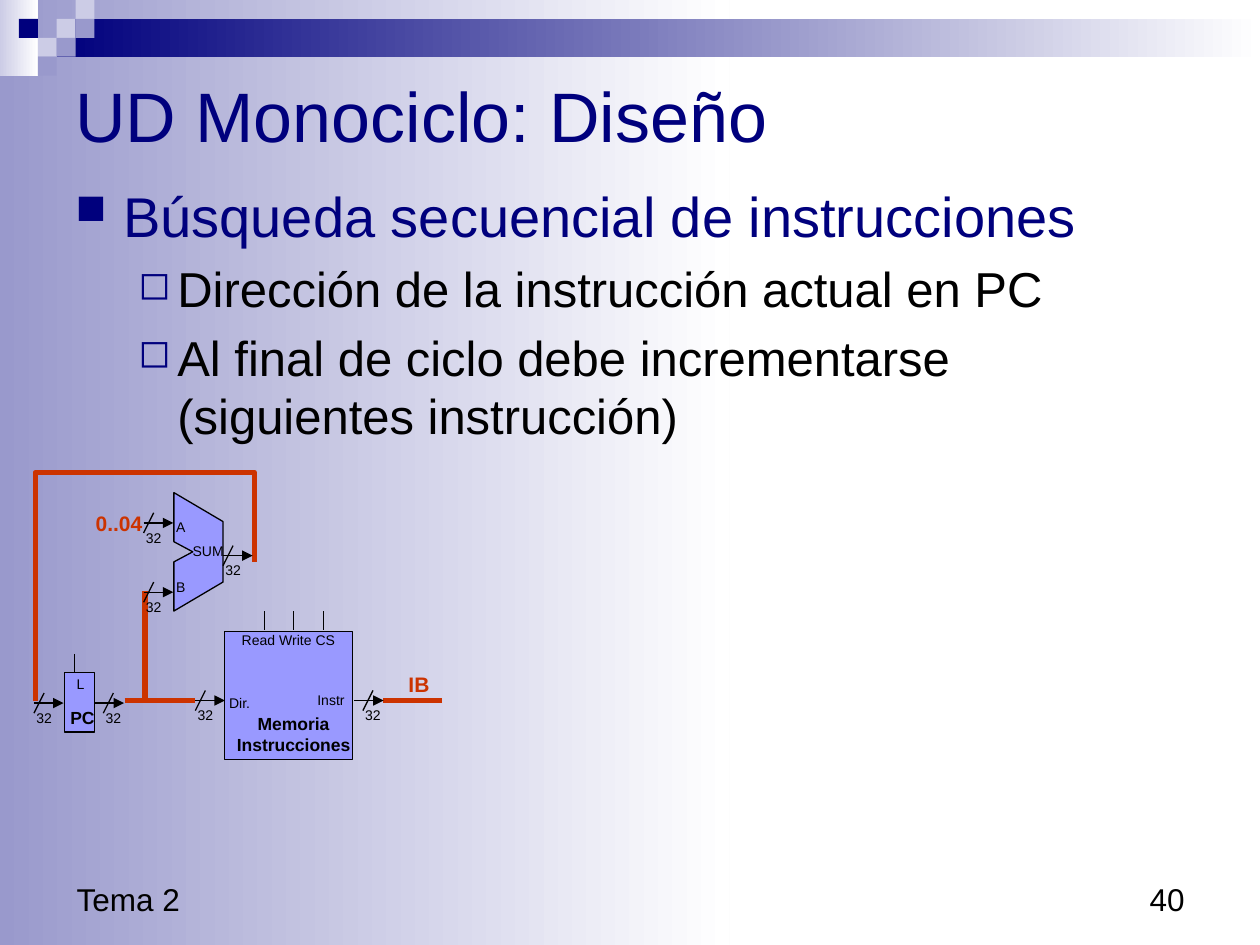
import pptx
import pptx.util
import pptx.dml.color
import pptx.enum.shapes
import pptx.enum.text
import pptx.oxml.ns
from lxml import etree

NAVY, LILAC, PALE, BLOCK = "00007D", "9999CC", "CCCCE6", "9999FF"
RED, BLACK, WHITE = "CC3300", "000000", "FFFFFF"
WIDE, HIGH = 10, 7.5
CELL = 0.15   # header mosaic grid
STUB = 0.235  # length of a bus arrow
HALF = 0.08   # half height of a bus slash

# Content: left, top, width, height, colours
bands = [(0, 0, 5.79, HIGH, LILAC), (0, 0, 0.3, 0.6, PALE),
         (0.45, 0.15, 9.55, 0.3, NAVY)]
# Mosaic: column, row, colour
tiles = [(3, 1, PALE), (4, 0, PALE), (4, 1, LILAC), (2, 2, PALE),
         (1, 1, NAVY), (3, 2, LILAC), (2, 3, LILAC)]
body = [  # text, size, indent, hang, bullet, bullet size, colour
    ("Búsqueda secuencial de instrucciones", 32, 0.38, 0.38, "■", 75, NAVY),
    ("Dirección de la instrucción actual en PC", 28, 0.81, 0.31, "◻", 80, BLACK),
    ("Al final de ciclo debe incrementarse (siguientes instrucción)",
     28, 0.81, 0.31, "◻", 80, BLACK)]
wires = [(0.99, 5.56, 1.55, 5.56), (1.15, 4.69, 1.15, 5.56),
         (3.04, 5.56, 3.51, 5.56)]
loop = [(2.02, 4.46), (2.02, 3.75), (0.28, 3.75), (0.28, 5.56)]
adder = [(1.38, 3.91), (1.38, 4.3), (1.53, 4.38), (1.38, 4.46),
         (1.38, 4.85), (1.77, 4.62), (1.77, 4.14)]
boxes = [(0.51, 5.34, 0.24, 0.47), (1.78, 5.01, 1.02, 1.02)]
buses = [  # start x, y, offset of the slash
    (0.27, 5.58, 0), (0.75, 5.58, 0.07), (1.55, 5.56, 0), (2.81, 5.56, 0.07),
    (1.77, 4.41, 0), (1.14, 4.7, 0), (1.14, 4.15, 0)]
pins = [(0.59, 5.19), (2.1, 4.85), (2.33, 4.85), (2.57, 4.85)]
names = [  # text, left, top, width
    ("L", 0.51, 5.31, 0.26), ("Dir.", 1.72, 5.46, 0.37),
    ("Instr", 2.42, 5.44, 0.42), ("Read Write CS", 1.82, 4.96, 0.94),
    ("SUM", 1.43, 4.26, 0.45), ("A", 1.3, 4.07, 0.28), ("B", 1.3, 4.54, 0.28)]

inch, pt = pptx.util.Inches, pptx.util.Pt
align, anchor = pptx.enum.text.PP_ALIGN, pptx.enum.text.MSO_ANCHOR
kinds = pptx.enum.shapes
qn = pptx.oxml.ns.qn

deck = pptx.Presentation()
deck.slide_width, deck.slide_height = inch(WIDE), inch(HIGH)
slide = deck.slides.add_slide(deck.slide_layouts[6])
parts = slide.shapes


def rgb(code):
    return pptx.dml.color.RGBColor.from_string(code)


def paint(shape, fill=None, line=None, thick=0.75):
    shape.shadow.inherit = False
    if fill:
        shape.fill.solid()
        shape.fill.fore_color.rgb = rgb(fill)
    else:
        shape.fill.background()
    if line:
        shape.line.color.rgb = rgb(line)
        shape.line.width = pt(thick)
    else:
        shape.line.fill.background()


def rect(x, y, w, h, fill, line=None):
    shape = parts.add_shape(kinds.MSO_SHAPE.RECTANGLE,
                            inch(x), inch(y), inch(w), inch(h))
    paint(shape, fill, line)
    return shape


def free(spots, shut, **look):
    first, *rest = [(inch(x), inch(y)) for x, y in spots]
    pen = parts.build_freeform(*first)
    pen.add_line_segments(rest, close=shut)
    paint(pen.convert_to_shape(), **look)


def link(x1, y1, x2, y2, color=BLACK, thick=0.75, arrow=False):
    line = parts.add_connector(kinds.MSO_CONNECTOR.STRAIGHT,
                               inch(x1), inch(y1), inch(x2), inch(y2))
    line.line.color.rgb = rgb(color)
    line.line.width = pt(thick)
    if arrow:
        etree.SubElement(line.line._get_or_add_ln(), qn("a:tailEnd"),
                         type="triangle")
    etree.SubElement(line._element.spPr, qn("a:effectLst"))


def text(lines, x, y, w, h, size, color=BLACK, bold=False, wrap=False,
         side=align.LEFT, hold=anchor.TOP, space=None):
    box = parts.add_textbox(inch(x), inch(y), inch(w), inch(h))
    frame = box.text_frame
    frame.text = lines
    frame.word_wrap, frame.vertical_anchor = wrap, hold
    for para in frame.paragraphs:
        para.alignment, para.line_spacing = side, space
        font = para.font
        font.name, font.size, font.bold = "Arial", pt(size), bold
        font.color.rgb = rgb(color)
    return frame


# Background and header
for x, y, w, h, color in bands:
    fill = rect(x, y, w, h, color).fill
    fill.gradient()
    fill.gradient_angle = 0
    for stop, code in zip(fill.gradient_stops, (color, WHITE)):
        stop.color.rgb = rgb(code)
for col, row, color in tiles:
    rect(col * CELL, row * CELL, CELL, CELL, color)

# Red data path
for wire in wires:
    link(*wire, RED, 3)
free(loop, False, line=RED, thick=3)

# Footer, title and bullets
text("Tema 2", 0.51, 6.83, 3.17, 0.5, 18, wrap=True, hold=anchor.BOTTOM)
text("40", 7.17, 6.83, 2.33, 0.5, 18, wrap=True, side=align.RIGHT,
     hold=anchor.BOTTOM)
text("UD Monociclo: Diseño", 0.5, 0.5, 9, 0.81, 40, NAVY, wrap=True,
     hold=anchor.MIDDLE)
frame = text("\n".join(item[0] for item in body), 0.5, 1.39, 9, 5.03, 28,
             wrap=True)
for para, (_, size, left, hang, mark, scale, color) in zip(frame.paragraphs, body):
    para.font.size, para.font.color.rgb = pt(size), rgb(color)
    para.space_before = pt(size * 0.2)
    prop = para._p.get_or_add_pPr()
    prop.set("marL", str(inch(left)))
    prop.set("indent", str(-inch(hang)))
    tint = etree.Element(qn("a:buClr"))
    etree.SubElement(tint, qn("a:srgbClr"), val=NAVY)
    ratio = etree.Element(qn("a:buSzPct"), val=str(scale * 1000))
    sign = etree.Element(qn("a:buChar"), char=mark)
    spot = prop.index(prop.find(qn("a:defRPr")))
    prop[spot:spot] = [tint, ratio, sign]

# Blocks, buses and pins
for box in boxes:
    rect(*box, BLOCK, BLACK)
free(adder, True, fill=BLOCK, line=BLACK)
for x, y, shift in buses:
    cut = x + shift
    link(x, y, x + STUB, y, arrow=True)
    link(cut + HALF, y - HALF, cut, y + HALF)
    text("32", cut - HALF, y, 0.33, 0.23, 8)
for x, y in pins:
    link(x, y, x, y + CELL)

# Labels
for name, x, y, w in names:
    text(name, x, y, w, 0.23, 8)
text("PC", 0.46, 5.56, 0.39, 0.27, 10, bold=True)
text("Memoria\nInstrucciones", 1.78, 5.61, 1.1, 0.43, 10, bold=True,
     side=align.CENTER)
for name, x, y, w in [("IB", 3.14, 5.32, 0.37), ("0..04", 0.66, 4.04, 0.57)]:
    text(name, x, y, w, 0.26, 12, RED, True, side=align.CENTER, space=0.8)

deck.save("out.pptx")
